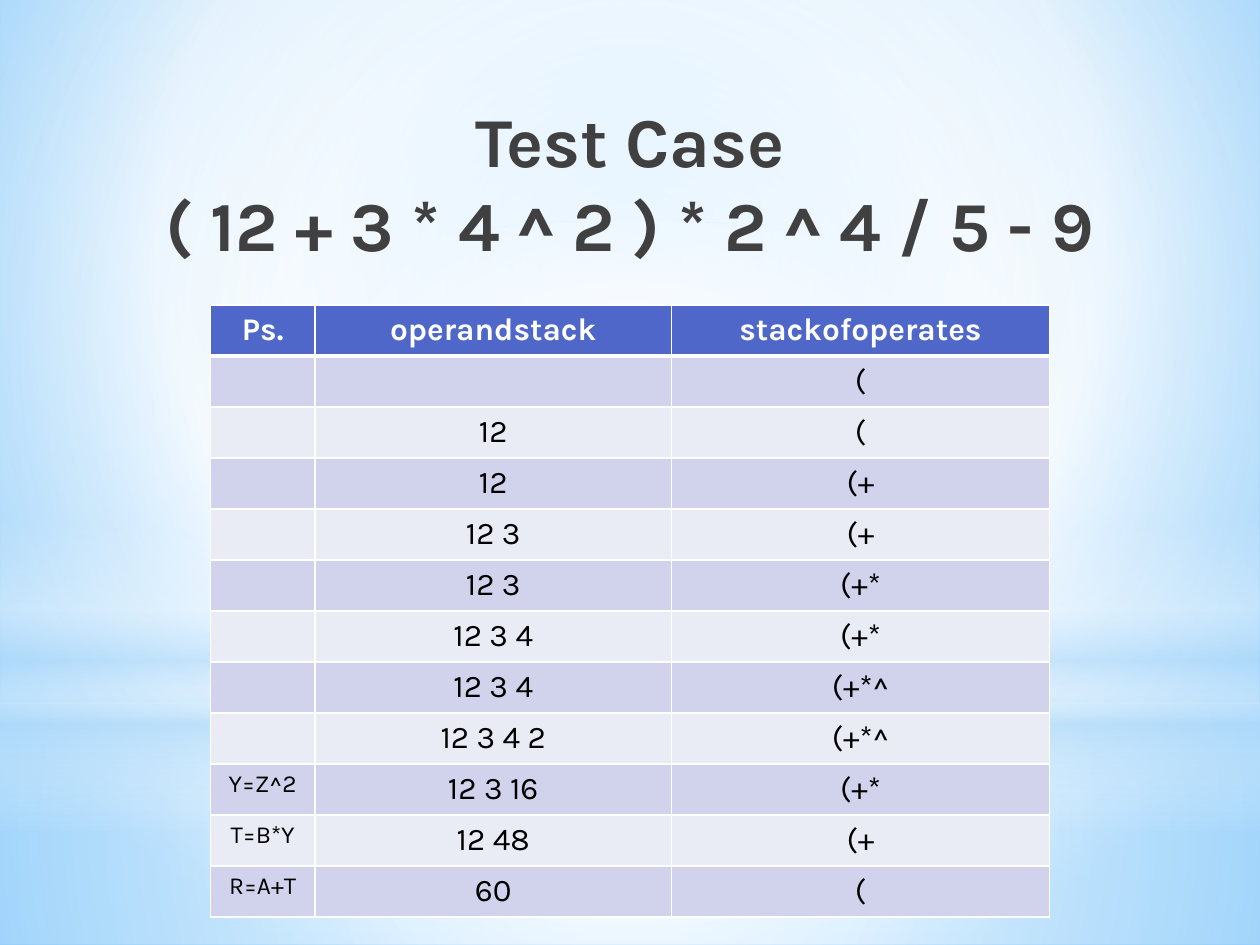
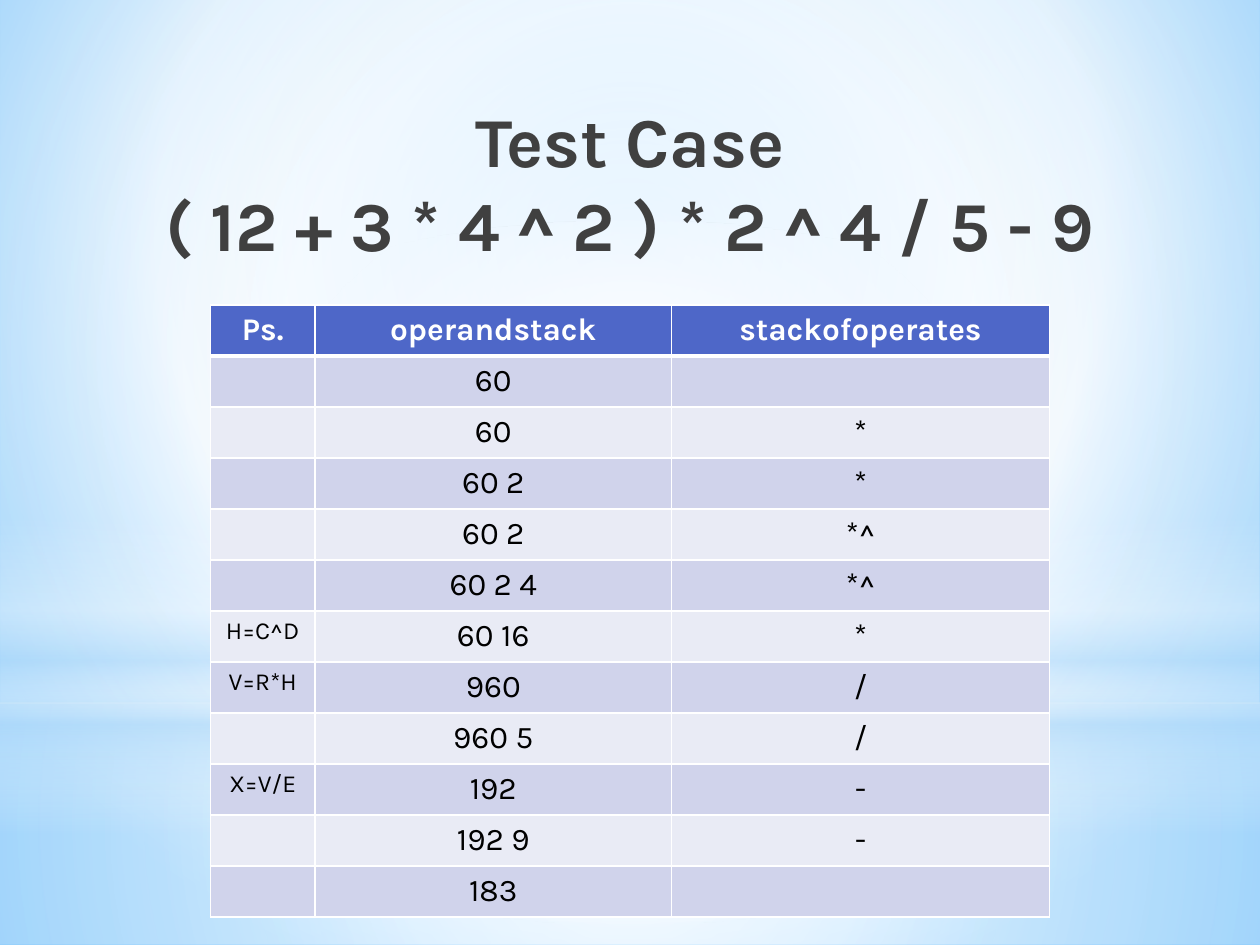
from dataclasses import dataclass

from lxml import etree
from pptx import Presentation
from pptx.dml.color import RGBColor
from pptx.enum.shapes import MSO_SHAPE
from pptx.enum.text import MSO_ANCHOR, PP_ALIGN
from pptx.oxml.ns import qn
from pptx.util import Inches, Pt

RECTANGLE, OVAL = MSO_SHAPE.RECTANGLE, MSO_SHAPE.OVAL
CENTER, MIDDLE = PP_ALIGN.CENTER, MSO_ANCHOR.MIDDLE


@dataclass(frozen=True)
class Theme:
    font: str = "Karla"
    title_size: int = 40
    table_size: int = 18
    note_size: int = 14
    title_color: str = "404040"
    text_color: str = "000000"
    white: str = "FFFFFF"
    haze: str = "B4DCFA"
    sky: str = "9ED5FF"
    deep_sky: str = "5BB9FF"
    header_fill: str = "4E67C8"
    odd_fill: str = "D0D3EB"
    even_fill: str = "E9EBF5"


theme = Theme()


def write_text(text_frame, text, size=theme.table_size, color=theme.text_color, bold=False):
    """Write centred text; a vertical tab breaks the line."""
    text_frame.text = text
    paragraph = text_frame.paragraphs[0]
    paragraph.alignment = CENTER
    for run in paragraph.runs:
        run.font.name = theme.font
        run.font.size = Pt(size)
        run.font.bold = bold
        run.font.color.rgb = RGBColor.from_string(color)


def paint_gradient(fill, element, stops, focus=None):
    """Fill with (position, color, opacity) stops: round a focus, or top to bottom."""
    fill.gradient()
    gradient = next(element.iter(qn("a:gradFill")))
    for child in list(gradient):
        gradient.remove(child)
    stop_list = etree.SubElement(gradient, qn("a:gsLst"))
    for position, color, opacity in stops:
        stop = etree.SubElement(stop_list, qn("a:gs"), pos=str(position * 1000))
        color_element = etree.SubElement(stop, qn("a:srgbClr"), val=color)
        if opacity < 100:
            etree.SubElement(color_element, qn("a:alpha"), val=str(opacity * 1000))
    if focus:
        circle = etree.SubElement(gradient, qn("a:path"), path="circle")
        sides = {side: str(share * 1000) for side, share in zip("ltrb", focus)}
        etree.SubElement(circle, qn("a:fillToRect"), **sides)
    else:
        etree.SubElement(gradient, qn("a:lin"), ang="5400000", scaled="0")


# Shared backdrop: shape, top, height, gradient stops, focus
CENTRE_FOCUS = (50, 50, 50, 50)
BACKGROUND_STOPS = [(0, theme.sky, 100), (60, theme.white, 100), (100, theme.deep_sky, 100)]
BACKDROP = [
    (RECTANGLE, 5.58, 1.92,
     [(0, theme.white, 91), (37, theme.white, 76), (100, theme.haze, 79)], CENTRE_FOCUS),
    (RECTANGLE, 0, 5.58,
     [(0, theme.white, 89), (48, theme.white, 62), (100, theme.haze, 79)], CENTRE_FOCUS),
    (RECTANGLE, 4.12, 2.5,
     [(0, theme.white, 0), (29, theme.white, 30), (45, theme.haze, 40),
      (55, theme.white, 26), (65, theme.haze, 60), (100, theme.white, 0)], None),
    (OVAL, 1.75, 5.58, [(0, theme.white, 100), (56, theme.white, 0)], CENTRE_FOCUS),
]

# Content: one list of evaluation steps per slide
TITLE = "Test Case\v( 12 + 3 * 4 ^ 2 ) * 2 ^ 4 / 5 - 9"
HEADER = ("Ps.", "operandstack", "stackofoperates")
COLUMN_WIDTHS = (0.83, 2.83, 3)
TABLE_HEIGHT = 4.86
STEPS_BY_SLIDE = [
    [
        ("", "", "("),
        ("", "12", "("),
        ("", "12", "(+"),
        ("", "12 3", "(+"),
        ("", "12 3", "(+*"),
        ("", "12 3 4", "(+*"),
        ("", "12 3 4", "(+*^"),
        ("", "12 3 4 2", "(+*^"),
        ("Y=Z^2", "12 3 16", "(+*"),
        ("T=B*Y", "12 48", "(+"),
        ("R=A+T", "60", "("),
    ],
    [
        ("", "60", ""),
        ("", "60", "*"),
        ("", "60 2", "*"),
        ("", "60 2", "*^"),
        ("", "60 2 4", "*^"),
        ("H=C^D", "60 16", "*"),
        ("V=R*H", "960", "/"),
        ("", "960 5", "/"),
        ("X=V/E", "192", "-"),
        ("", "192 9", "-"),
        ("", "183", ""),
    ],
]

presentation = Presentation()
presentation.slide_width = Inches(10)
presentation.slide_height = Inches(7.5)
master = presentation.slide_master
paint_gradient(master.background.fill, master.element, BACKGROUND_STOPS, (20, 10, 20, 60))

for steps in STEPS_BY_SLIDE:
    slide = presentation.slides.add_slide(presentation.slide_layouts[6])

    # Backdrop
    for kind, top, height, stops, focus in BACKDROP:
        shape = slide.shapes.add_shape(kind, 0, Inches(top), Inches(10), Inches(height))
        shape.shadow.inherit = False
        shape.line.fill.background()
        paint_gradient(shape.fill, shape.element, stops, focus)

    # Title
    title = slide.shapes.add_textbox(0, Inches(0.75), Inches(10), Inches(1.38))
    title.text_frame.word_wrap = True
    title.text_frame.vertical_anchor = MIDDLE
    write_text(title.text_frame, TITLE, size=theme.title_size, color=theme.title_color, bold=True)

    # Table of stack states
    rows = [HEADER, *steps]
    table = slide.shapes.add_table(len(rows), len(HEADER), Inches(1.67), Inches(2.42),
                                   Inches(sum(COLUMN_WIDTHS)), Inches(TABLE_HEIGHT)).table
    for column, width in zip(table.columns, COLUMN_WIDTHS):
        column.width = Inches(width)
    for row_index, row in enumerate(rows):
        table.rows[row_index].height = Inches(TABLE_HEIGHT / len(rows))
        is_header = row_index == 0
        row_fill = theme.odd_fill if row_index % 2 else theme.even_fill
        for column_index, text in enumerate(row):
            cell = table.cell(row_index, column_index)
            cell.fill.solid()
            cell.fill.fore_color.rgb = RGBColor.from_string(
                theme.header_fill if is_header else row_fill)
            if is_header:
                write_text(cell.text_frame, text, color=theme.white, bold=True)
            elif text:
                size = theme.note_size if column_index == 0 else theme.table_size
                write_text(cell.text_frame, text, size=size)

            # White borders, thicker below the header
            properties = cell.fill._xPr
            thick_side = {0: "lnB", 1: "lnT"}.get(row_index)
            for position, side in enumerate(("lnL", "lnR", "lnT", "lnB")):
                width = Pt(3 if side == thick_side else 1)
                border = etree.Element(qn(f"a:{side}"), w=str(width))
                solid = etree.SubElement(border, qn("a:solidFill"))
                etree.SubElement(solid, qn("a:srgbClr"), val=theme.white)
                properties.insert(position, border)

presentation.save("out.pptx")
